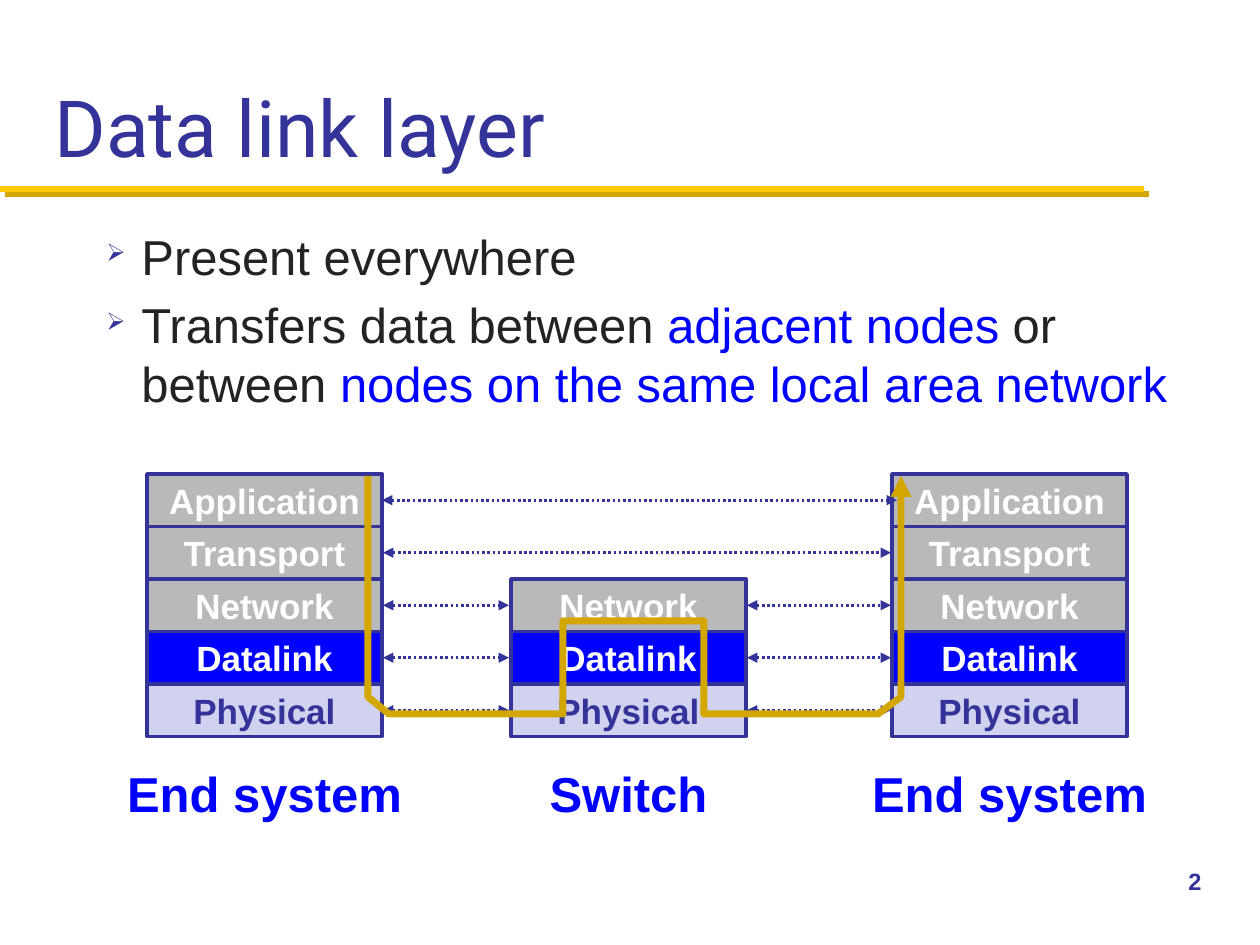
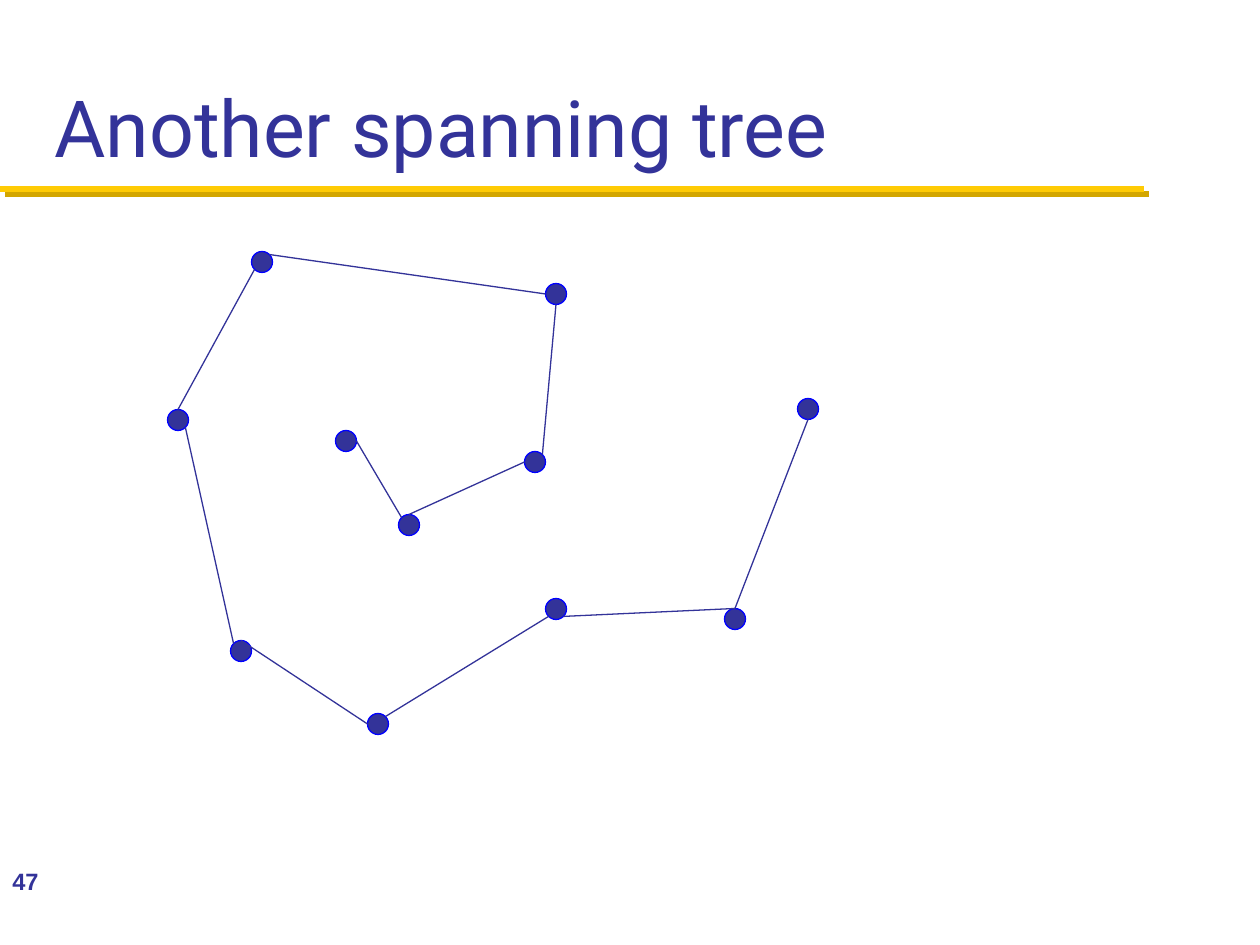
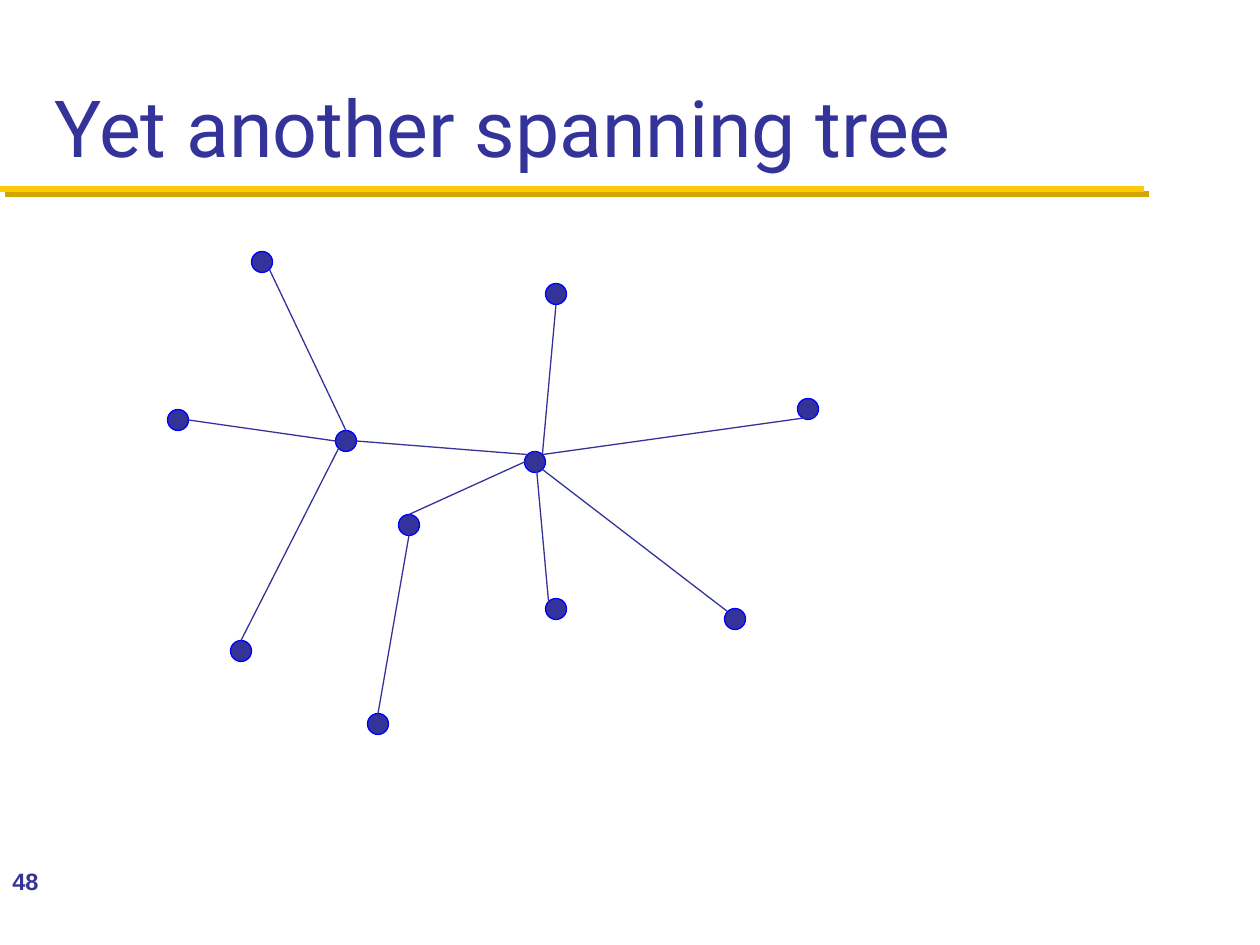
"""Build three slides on the data link layer and spanning trees."""
from dataclasses import dataclass
from math import sqrt

from lxml import etree
from pptx import Presentation
from pptx.dml.color import RGBColor
from pptx.enum.dml import MSO_LINE
from pptx.enum.shapes import MSO_CONNECTOR, MSO_SHAPE
from pptx.enum.text import MSO_ANCHOR, PP_ALIGN
from pptx.oxml.ns import qn
from pptx.util import Emu, Pt

STRAIGHT = MSO_CONNECTOR.STRAIGHT
RECTANGLE, OVAL = MSO_SHAPE.RECTANGLE, MSO_SHAPE.OVAL
DOTTED = MSO_LINE.ROUND_DOT
TOP, MIDDLE, BOTTOM = MSO_ANCHOR.TOP, MSO_ANCHOR.MIDDLE, MSO_ANCHOR.BOTTOM
LEFT, CENTER = PP_ALIGN.LEFT, PP_ALIGN.CENTER
EMU_PER_PX = 914400 / 126


@dataclass(frozen=True)
class Theme:
    """Colours, fonts and type sizes of the deck."""
    navy: str = "333399"
    blue: str = "0000FF"
    ink: str = "232323"
    gray: str = "B9B9B9"
    lilac: str = "D1D1F0"
    white: str = "FFFFFF"
    gold: str = "FFCB05"
    dark_gold: str = "D3A600"
    heading_font: str = "Roboto"
    body_font: str = "Arial"
    title_size: float = 45
    body_size: float = 28
    layer_size: float = 20
    number_size: float = 13.5


THEME = Theme()

BULLETS = [
    [("Present everywhere", THEME.ink)],
    [("Transfers data between ", THEME.ink), ("adjacent nodes", THEME.blue),
     (" or between ", THEME.ink), ("nodes on the same local area network", THEME.blue)],
]
LAYERS = [
    ("Application", THEME.gray, THEME.white),
    ("Transport", THEME.gray, THEME.white),
    ("Network", THEME.gray, THEME.white),
    ("Datalink", THEME.blue, THEME.white),
    ("Physical", THEME.lilac, THEME.navy),
]
STACKS = [("End system", 147, 0), ("Switch", 511, 2), ("End system", 892, 0)]
HOPS = [(383, 509), (747, 891)]
PEER_LINKS = [[(382, 897)], [(383, 891)], HOPS, HOPS, HOPS]
STACK_TOP, LAYER_PITCH, LAYER_WIDTH = 474, 52.5, 235
CAPTION_TOP, CAPTION_WIDTH, CAPTION_HEIGHT = 757, 304, 72
DATA_ROUTE = [(368, 476), (368, 697), (389, 714), (563, 714), (563, 621),
              (704, 621), (704, 714), (878, 714), (901, 697), (901, 476)]

NODE_SIZE = 21
NODES = {
    "A": (262, 262), "B": (178, 420), "C": (556, 294), "D": (556, 609),
    "E": (378, 724), "F": (346, 441), "G": (808, 409), "H": (409, 525),
    "I": (241, 651), "J": (535, 462), "K": (735, 619),
}
TREES = [
    ("Another spanning tree", 47,
     ["A-sw B-n", "B-se I-nw", "F-e H-nw", "C-s J-ne", "G-s K-n",
      "I-n E-w", "K-n D-se", "E-ne D-sw", "H-n J-w", "A-ne C-w"]),
    ("Yet another spanning tree", 48,
     ["A-se F-n", "J-se K-nw", "C-s J-ne", "J-n D-nw", "H-s E-n",
      "F-e J-nw", "B-e F-w", "I-n F-sw", "H-n J-w", "J-ne G-se"]),
]


def px(length):
    return Emu(round(length * EMU_PER_PX))


def rgb(value):
    return RGBColor.from_string(value)


def add_span(para, text, size, color, bold=False, font=THEME.body_font):
    span = para.add_run()
    span.text = text
    span.font.name, span.font.size, span.font.bold = font, Pt(size), bold
    span.font.color.rgb = rgb(color)


def add_box(page, left, top, width, height, anchor=TOP):
    box = page.shapes.add_textbox(px(left), px(top), px(width), px(height))
    box.text_frame.word_wrap = True
    box.text_frame.vertical_anchor = anchor
    return box.text_frame


def add_filled(page, kind, left, top, width, height, fill, line, weight):
    shape = page.shapes.add_shape(kind, px(left), px(top), px(width), px(height))
    shape.shadow.inherit = False
    shape.fill.solid()
    shape.fill.fore_color.rgb = rgb(fill)
    shape.line.color.rgb = rgb(line)
    shape.line.width = Pt(weight)
    return shape


def add_line(page, start, end, color, weight):
    line = page.shapes.add_connector(STRAIGHT, *map(px, (*start, *end)))
    line.line.color.rgb = rgb(color)
    line.line.width = Pt(weight)
    effects = etree.SubElement(line._element.spPr, qn("a:effectLst"))
    return line, effects


def add_arrowheads(shape, *ends):
    outline = shape.line._get_or_add_ln()
    for end in ends:
        etree.SubElement(outline, qn(f"a:{end}"), type="triangle")


def add_bullet(para):
    props = para._p.get_or_add_pPr()
    props.set("marL", str(px(35)))
    props.set("indent", str(-px(35)))
    color = etree.SubElement(props, qn("a:buClr"))
    etree.SubElement(color, qn("a:srgbClr"), val=THEME.navy)
    etree.SubElement(props, qn("a:buSzPct"), val="50000")
    etree.SubElement(props, qn("a:buChar"), char="➢")


def add_page(deck, title, number, number_left, number_width):
    page = deck.slides.add_slide(deck.slide_layouts[6])
    _, effects = add_line(page, (0, 189), (1144, 189), THEME.gold, 3.5)
    shadow = etree.SubElement(effects, qn("a:outerShdw"), dist=str(Pt(4.2)),
                              dir="2700000", algn="ctr", rotWithShape="0")
    etree.SubElement(shadow, qn("a:srgbClr"), val=THEME.dark_gold)
    heading = add_box(page, 42, 21, 1176, 158, BOTTOM)
    add_span(heading.paragraphs[0], title, THEME.title_size, THEME.navy,
             font=THEME.heading_font)
    footer = add_box(page, number_left, 861, number_width, 63)
    add_span(footer.paragraphs[0], str(number), THEME.number_size, THEME.navy, True)
    return page


def add_stack(page, caption, left, first_layer):
    for row, (name, fill, color) in enumerate(LAYERS):
        if row < first_layer:
            continue
        layer = add_filled(page, RECTANGLE, left, STACK_TOP + row * LAYER_PITCH,
                           LAYER_WIDTH, LAYER_PITCH, fill, THEME.navy, 2)
        layer.text_frame.vertical_anchor = MIDDLE
        para = layer.text_frame.paragraphs[0]
        para.alignment = CENTER
        add_span(para, name, THEME.layer_size, color, True)
    caption_left = left + (LAYER_WIDTH - CAPTION_WIDTH) / 2
    label = add_box(page, caption_left, CAPTION_TOP, CAPTION_WIDTH, CAPTION_HEIGHT)
    label.word_wrap = False
    label.paragraphs[0].alignment = CENTER
    add_span(label.paragraphs[0], caption, THEME.body_size, THEME.blue, True)


def add_layer_page(deck):
    page = add_page(deck, "Data link layer", 2, 1176, 84)
    body = add_box(page, 94, 220, 1093, 240)
    for index, spans in enumerate(BULLETS):
        para = body.add_paragraph() if index else body.paragraphs[0]
        para.alignment = LEFT
        add_bullet(para)
        if index:
            para.space_before = Pt(THEME.body_size * 0.2)
        for text, color in spans:
            add_span(para, text, THEME.body_size, color)
    for stack in STACKS:
        add_stack(page, *stack)
    for row, links in enumerate(PEER_LINKS):
        middle = STACK_TOP + (row + 0.5) * LAYER_PITCH
        for start, end in links:
            link, _ = add_line(page, (start, middle), (end, middle), THEME.navy, 1.5)
            link.line.dash_style = DOTTED
            add_arrowheads(link, "headEnd", "tailEnd")
    builder = page.shapes.build_freeform(*DATA_ROUTE[0], scale=EMU_PER_PX)
    builder.add_line_segments(DATA_ROUTE[1:], close=False)
    route = builder.convert_to_shape()
    route.shadow.inherit = False
    route.fill.background()
    route.line.color.rgb = rgb(THEME.dark_gold)
    route.line.width = Pt(4)
    add_arrowheads(route, "tailEnd")


def node_site(site):
    name, side = site.split("-")
    across = ("e" in side) - ("w" in side)
    down = ("s" in side) - ("n" in side)
    reach = NODE_SIZE / 2 / sqrt(len(side))
    x, y = NODES[name]
    return x + across * reach, y + down * reach


def add_tree_page(deck, title, number, edges):
    page = add_page(deck, title, number, 0, 262)
    for x, y in NODES.values():
        add_filled(page, OVAL, x - NODE_SIZE / 2, y - NODE_SIZE / 2,
                   NODE_SIZE, NODE_SIZE, THEME.navy, THEME.blue, 0.75)
    for edge in edges:
        start, end = map(node_site, edge.split())
        add_line(page, start, end, THEME.navy, 0.75)


def main():
    deck = Presentation()
    deck.slide_width, deck.slide_height = px(1260), px(945)
    add_layer_page(deck)
    for tree in TREES:
        add_tree_page(deck, *tree)
    deck.save("out.pptx")


if __name__ == "__main__":
    main()
